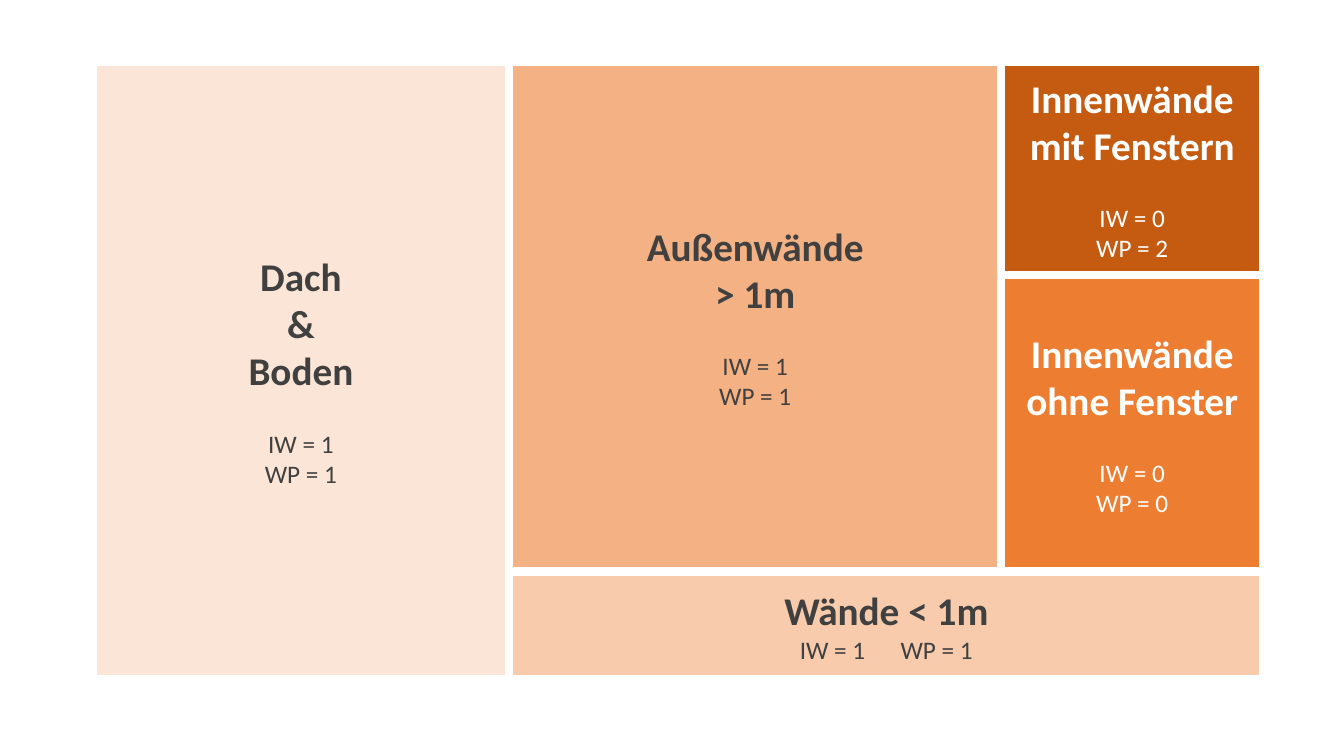
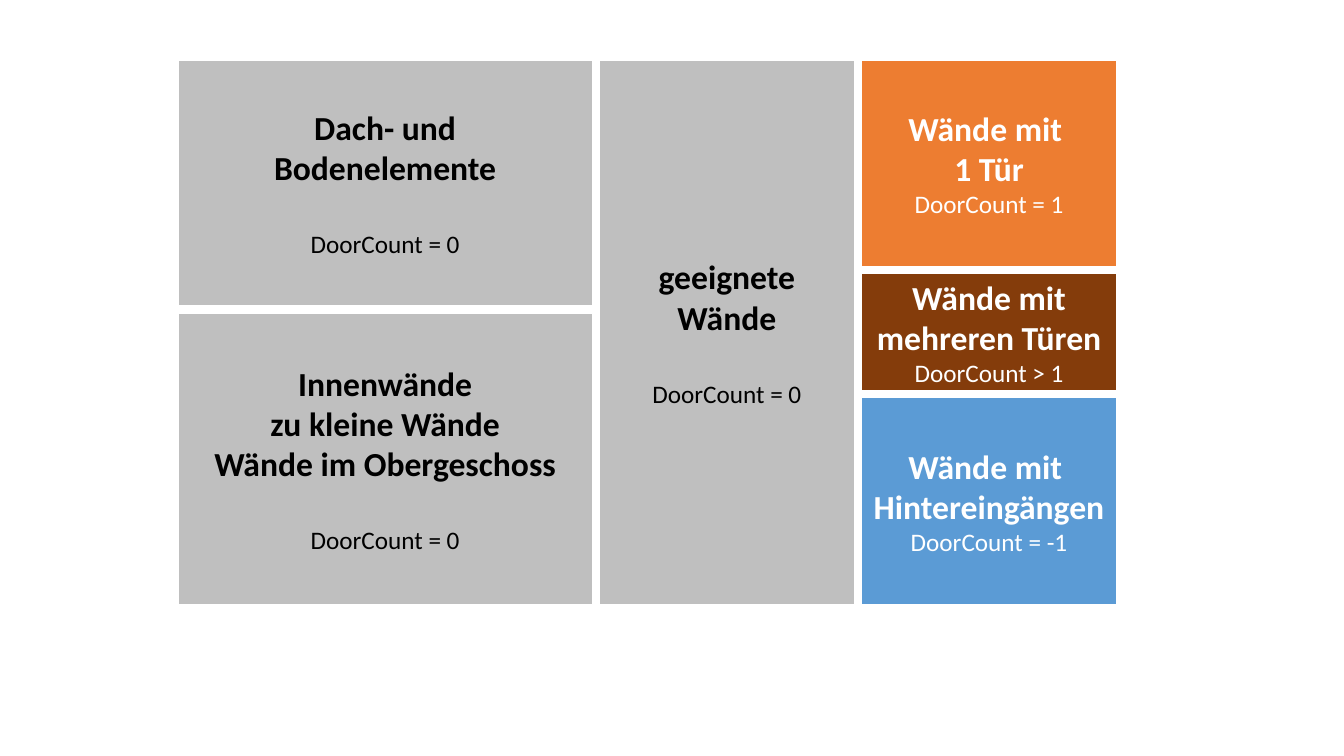
import pptx
import pptx.dml.color
import pptx.enum.shapes
import pptx.enum.text
import pptx.util

Inches = pptx.util.Inches
Pt = pptx.util.Pt

FONT = "Calibri"
WHITE, BLACK, DARK = "FFFFFF", "000000", "404040"
GREY, ORANGE = "BFBFBF", "ED7D31"
BORDER = 6
DETAIL_SIZE = 18


def color(value):
    return pptx.dml.color.RGBColor.from_string(value)


def add_text(frame, text, size, ink, bold=False, before=0, first=False):
    para = frame.paragraphs[0] if first else frame.add_paragraph()
    para.alignment = pptx.enum.text.PP_ALIGN.CENTER
    if before:
        para.space_before = Pt(before)
    span = para.add_run()
    span.text = text
    span.font.name = FONT
    span.font.size = Pt(size)
    span.font.bold = bold
    span.font.color.rgb = color(ink)


def add_tile(page, box, fill, ink, title, details, size, gap=0):
    """Filled, white-edged rectangle with bold title lines above detail lines."""
    shape = page.shapes.add_shape(
        pptx.enum.shapes.MSO_SHAPE.RECTANGLE, *(Inches(length) for length in box))
    shape.shadow.inherit = False
    shape.fill.solid()
    shape.fill.fore_color.rgb = color(fill)
    shape.line.color.rgb = color(WHITE)
    shape.line.width = Pt(BORDER)
    frame = shape.text_frame
    frame.word_wrap = True
    frame.vertical_anchor = pptx.enum.text.MSO_ANCHOR.MIDDLE
    for index, line in enumerate(title):
        add_text(frame, line, size, ink, bold=True, first=index == 0)
    for index, line in enumerate(details):
        add_text(frame, line, DETAIL_SIZE, ink, before=0 if index else gap)


def add_column(page, left, top, width, tiles, size):
    """Stack tiles downwards; each is (height, fill, ink, title, details, gap)."""
    for height, fill, ink, title, details, gap in tiles:
        add_tile(page, (left, top, width, height), fill, ink, title, details, size, gap)
        top += height


def add_weights_page(page, left, top):
    size, gap = 28, 24.4
    roof_width, outer_width, inner_width = 4.13, 4.88, 2.6
    upper_height, low_height = 5.06, 1.07
    window_height = 2.12
    middle = left + roof_width

    # Roof and floor
    add_column(page, left, top, roof_width, [
        (upper_height + low_height, "FBE5D6", DARK, ["Dach", "&", "Boden"],
         ["IW = 1", "WP = 1"], gap),
    ], size)
    # Low walls along the bottom
    add_column(page, middle, top + upper_height, outer_width + inner_width, [
        (low_height, "F8CBAD", DARK, ["Wände < 1m"], ["IW = 1\tWP = 1"], 0),
    ], size)
    # Outer walls
    add_column(page, middle, top, outer_width, [
        (upper_height, "F4B183", DARK, ["Außenwände", "> 1m"],
         ["IW = 1", "WP = 1"], gap),
    ], size)
    # Inner walls
    add_column(page, middle + outer_width, top, inner_width, [
        (window_height, "C55A11", WHITE, ["Innenwände", "mit Fenstern"],
         ["IW = 0", "WP = 2"], gap),
        (upper_height - window_height, ORANGE, WHITE, ["Innenwände", "ohne Fenster"],
         ["IW = 0", "WP = 0"], gap),
    ], size)


def add_doors_page(page, left, top):
    size, gap = 24, 29.3
    wide, narrow = 4.18, 2.6
    height, roof_height, door_height = 5.47, 2.51, 2.12
    none = ["DoorCount = 0"]

    # Elements that cannot hold a door
    add_column(page, left, top, wide, [
        (roof_height, GREY, BLACK, ["Dach- und", "Bodenelemente"], none, gap),
        (height - roof_height, GREY, BLACK,
         ["Innenwände", "zu kleine Wände", "Wände im Obergeschoss"], none, gap),
    ], size)
    # Suitable walls
    add_column(page, left + wide, top, narrow, [
        (height, GREY, BLACK, ["geeignete", "Wände"], none, gap),
    ], size)
    # Walls with doors
    add_column(page, left + wide + narrow, top, narrow, [
        (door_height, ORANGE, WHITE, ["Wände mit ", "1 Tür"], ["DoorCount = 1"], 0),
        (height - 2 * door_height, "843C0B", WHITE, ["Wände mit mehreren Türen"],
         ["DoorCount > 1"], 0),
        (door_height, "5B9BD5", WHITE, ["Wände mit ", "Hintereingängen"],
         ["DoorCount = -1"], 0),
    ], size)


def main():
    deck = pptx.Presentation()
    deck.slide_width, deck.slide_height = Inches(13.33), Inches(7.5)
    blank = deck.slide_layouts[6]
    add_weights_page(deck.slides.add_slide(blank), 0.92, 0.61)
    add_doors_page(deck.slides.add_slide(blank), 1.73, 0.56)
    deck.save("out.pptx")


if __name__ == "__main__":
    main()
